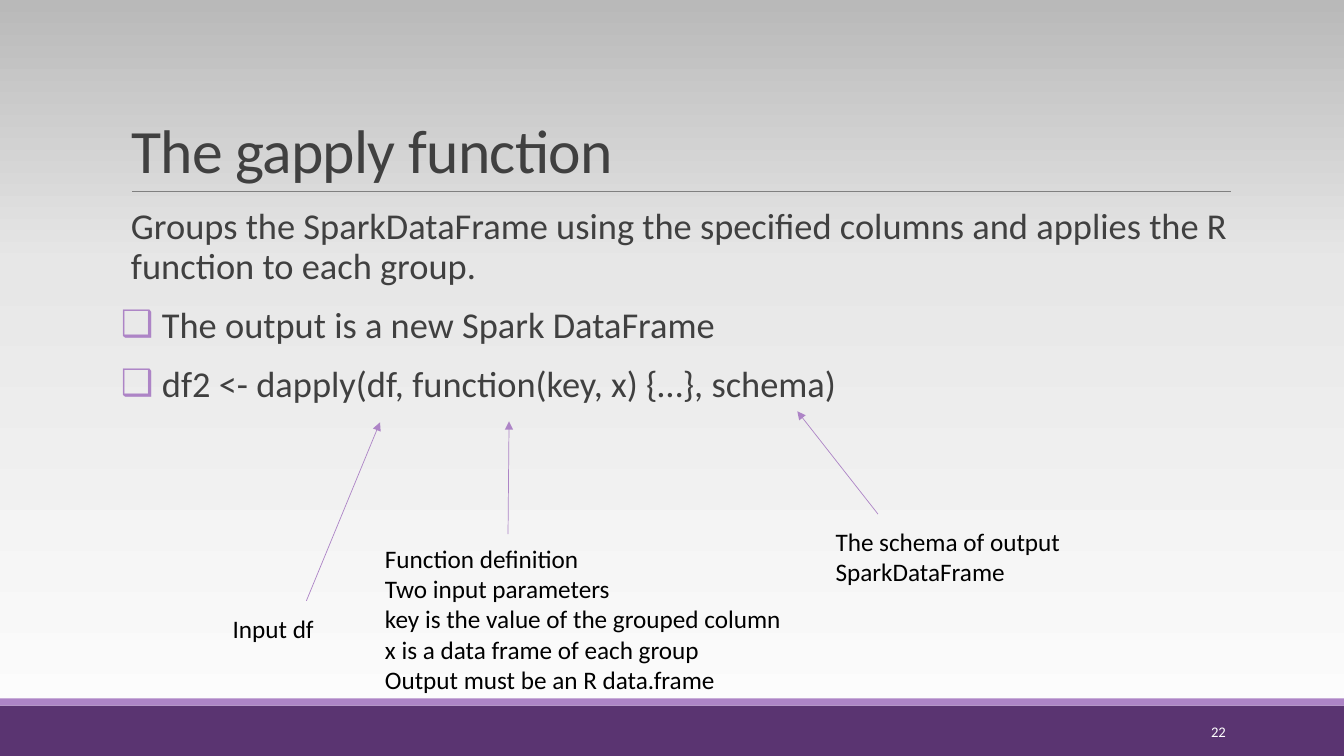
from dataclasses import dataclass
from typing import NamedTuple

from lxml.etree import SubElement
from pptx import Presentation
from pptx.dml.color import RGBColor
from pptx.enum.shapes import MSO_CONNECTOR, MSO_SHAPE
from pptx.enum.text import MSO_ANCHOR, MSO_AUTO_SIZE, PP_ALIGN
from pptx.oxml.ns import qn
from pptx.shapes.autoshape import Shape
from pptx.slide import Slide
from pptx.text.text import TextFrame
from pptx.util import Inches, Length, Pt

COLUMNS, ROWS = 133.33, 75
SLIDE_WIDTH, SLIDE_HEIGHT = Inches(13.33), Inches(7.5)


@dataclass(frozen=True)
class Theme:
    font: str = "Calibri"
    heading: str = "404040"
    note: str = "000000"
    page: str = "FFFFFF"
    band: str = "5A3471"
    accent: str = "AD84C6"
    rule: str = "808080"
    backdrop: tuple[tuple[int, str], ...] = ((0, "FEFEFE"), (65, "E7E7E7"), (100, "B9B9B9"))
    title_size: float = 44
    body_size: float = 26
    note_size: float = 18
    page_size: float = 10.5
    line_width: float = 0.5


THEME = Theme()


class Area(NamedTuple):
    column: float
    row: float
    columns: float
    rows: float


class Band(NamedTuple):
    area: Area
    color: str


class Line(NamedTuple):
    start: tuple[float, float]
    end: tuple[float, float]
    color: str = THEME.accent
    arrow: bool = True


class Note(NamedTuple):
    area: Area
    lines: tuple[str, ...]


class Point(NamedTuple):
    bullet: str
    text: str


TITLE_AREA = Area(12, 3.1, 110, 15.9)
BODY_AREA = Area(12, 20.2, 110, 44)
PAGE_AREA = Area(108.3, 70.6, 14.3, 4)

BANDS = (
    Band(Area(0, 70, COLUMNS, 5), THEME.band),
    Band(Area(0, 69.3, COLUMNS, 0.7), THEME.accent),
)
LINES = (
    Line((13.1, 19), (122.1, 19), THEME.rule, arrow=False),
    Line((30.4, 59.6), (37.7, 41.9)),
    Line((50.4, 53), (50.5, 41.8)),
    Line((87.1, 51), (79.1, 40.8)),
)
POINTS = (
    Point(" ", "Groups the SparkDataFrame using the specified columns "
               "and applies the R function to each group."),
    Point("❑", " The output is a new Spark DataFrame"),
    Point("❑", " df2 <- dapply(df, function(key, x) {…}, schema)"),
)
NOTES = (
    Note(Area(22.1, 60.4, 12.7, 4), ("Input df",)),
    Note(Area(37.2, 53.4, 43.1, 16.2), (
        "Function definition",
        "Two input parameters",
        "key is the value of the grouped column",
        "x is a data frame of each group",
        "Output must be an R data.frame",
    )),
    Note(Area(81.9, 51.7, 24.6, 7.1), ("The schema of output SparkDataFrame",)),
)


def across(columns: float) -> Length:
    return Length(round(SLIDE_WIDTH * columns / COLUMNS))


def down(rows: float) -> Length:
    return Length(round(SLIDE_HEIGHT * rows / ROWS))


def bounds(area: Area) -> tuple[Length, Length, Length, Length]:
    return across(area.column), down(area.row), across(area.columns), down(area.rows)


def write(frame: TextFrame, *texts: str, size: float, color: str,
          align: PP_ALIGN = PP_ALIGN.LEFT, anchor: MSO_ANCHOR = MSO_ANCHOR.TOP,
          spacing: float = 1, before: float = 0, after: float = 0,
          tracking: int = 0, grow: bool = False) -> None:
    frame.word_wrap = True
    frame.auto_size = MSO_AUTO_SIZE.SHAPE_TO_FIT_TEXT if grow else MSO_AUTO_SIZE.NONE
    frame.vertical_anchor = anchor
    for index, text in enumerate(texts):
        paragraph = frame.add_paragraph() if index else frame.paragraphs[0]
        paragraph.alignment = align
        paragraph.line_spacing = spacing
        paragraph.space_before, paragraph.space_after = Pt(before), Pt(after)
        run = paragraph.add_run()
        run.text = text
        run.font.name, run.font.size = THEME.font, Pt(size)
        run.font.color.rgb = RGBColor.from_string(color)
        if tracking:
            run.font._element.set("spc", str(tracking))


def add_text_box(slide: Slide, area: Area) -> Shape:
    return slide.shapes.add_textbox(*bounds(area))


def paint_background(slide: Slide) -> None:
    fill = slide.background.fill
    fill.gradient()
    fill.gradient_angle = 90
    stops = slide.element.find(".//" + qn("a:gsLst"))
    stops.clear()
    for position, color in THEME.backdrop:
        stop = SubElement(stops, qn("a:gs"), pos=str(position * 1000))
        SubElement(stop, qn("a:srgbClr"), val=color)


def add_band(slide: Slide, band: Band) -> None:
    shape = slide.shapes.add_shape(MSO_SHAPE.RECTANGLE, *bounds(band.area))
    shape.shadow.inherit = False
    shape.fill.solid()
    shape.fill.fore_color.rgb = RGBColor.from_string(band.color)
    shape.line.fill.background()


def add_line(slide: Slide, line: Line) -> None:
    connector = slide.shapes.add_connector(
        MSO_CONNECTOR.STRAIGHT, across(line.start[0]), down(line.start[1]),
        across(line.end[0]), down(line.end[1]))
    connector.line.width = Pt(THEME.line_width)
    connector.line.color.rgb = RGBColor.from_string(line.color)
    if line.arrow:
        SubElement(connector.line._get_or_add_ln(), qn("a:tailEnd"), type="triangle")
    SubElement(connector._element.spPr, qn("a:effectLst"))


def add_title(slide: Slide, text: str) -> None:
    title = slide.shapes.title
    title.left, title.top, title.width, title.height = bounds(TITLE_AREA)
    write(title.text_frame, text, size=THEME.title_size, color=THEME.heading,
          anchor=MSO_ANCHOR.BOTTOM, spacing=0.85, tracking=-50)


def add_body(slide: Slide) -> None:
    frame = add_text_box(slide, BODY_AREA).text_frame
    frame.margin_left = frame.margin_right = 0
    write(frame, *(point.text for point in POINTS), size=THEME.body_size,
          color=THEME.heading, spacing=0.9, before=12, after=2)
    indent = across(1)
    for paragraph, point in zip(frame.paragraphs, POINTS):
        properties = paragraph._p.get_or_add_pPr()
        properties.set("marL", str(indent))
        properties.set("indent", str(-indent))
        bullet_color = SubElement(properties, qn("a:buClr"))
        SubElement(bullet_color, qn("a:srgbClr"), val=THEME.accent)
        SubElement(properties, qn("a:buFont"), typeface=THEME.font)
        SubElement(properties, qn("a:buChar"), char=point.bullet)


def main() -> None:
    presentation = Presentation()
    presentation.slide_width, presentation.slide_height = SLIDE_WIDTH, SLIDE_HEIGHT
    slide = presentation.slides.add_slide(presentation.slide_layouts[5])
    paint_background(slide)
    for band in BANDS:
        add_band(slide, band)
    add_title(slide, "The gapply function")
    add_body(slide)
    write(add_text_box(slide, PAGE_AREA).text_frame, "22", size=THEME.page_size,
          color=THEME.page, align=PP_ALIGN.RIGHT, anchor=MSO_ANCHOR.MIDDLE)
    for line in LINES:
        add_line(slide, line)
    for note in NOTES:
        write(add_text_box(slide, note.area).text_frame, *note.lines,
              size=THEME.note_size, color=THEME.note, grow=True)
    presentation.save("out.pptx")


if __name__ == "__main__":
    main()
